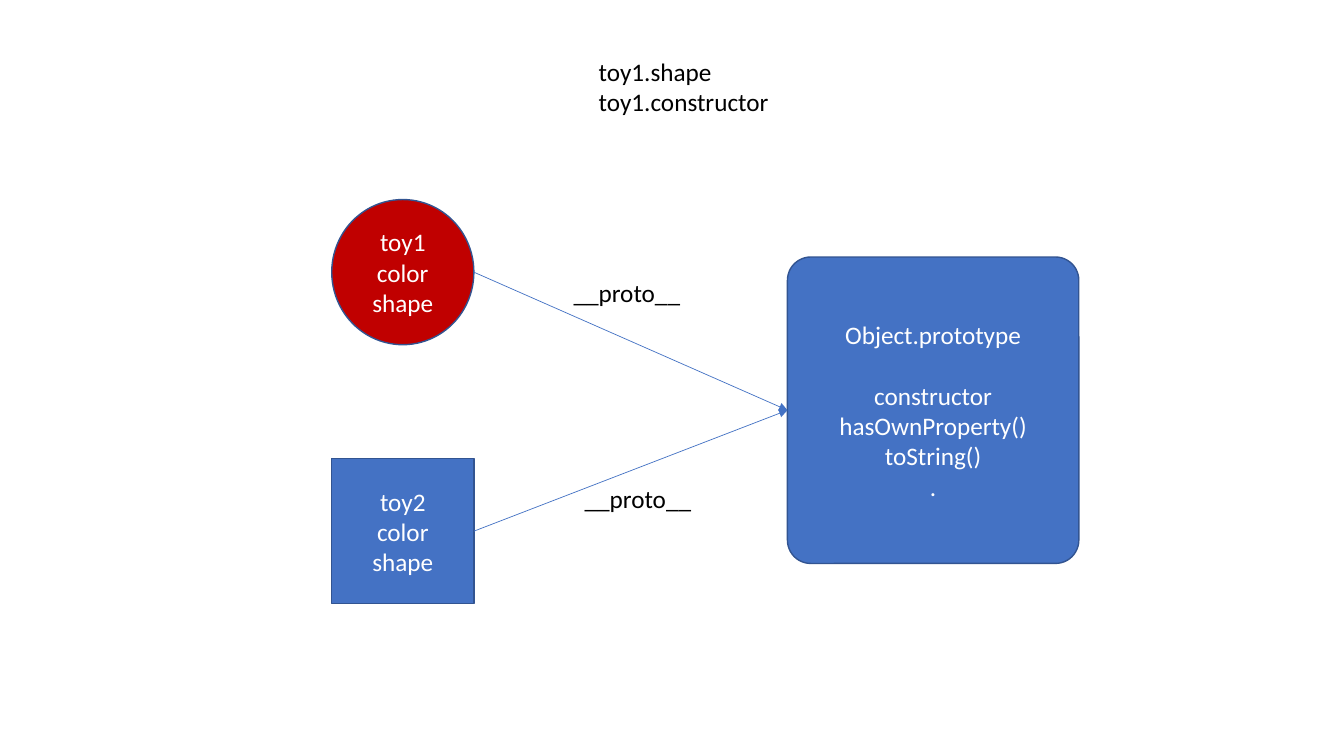
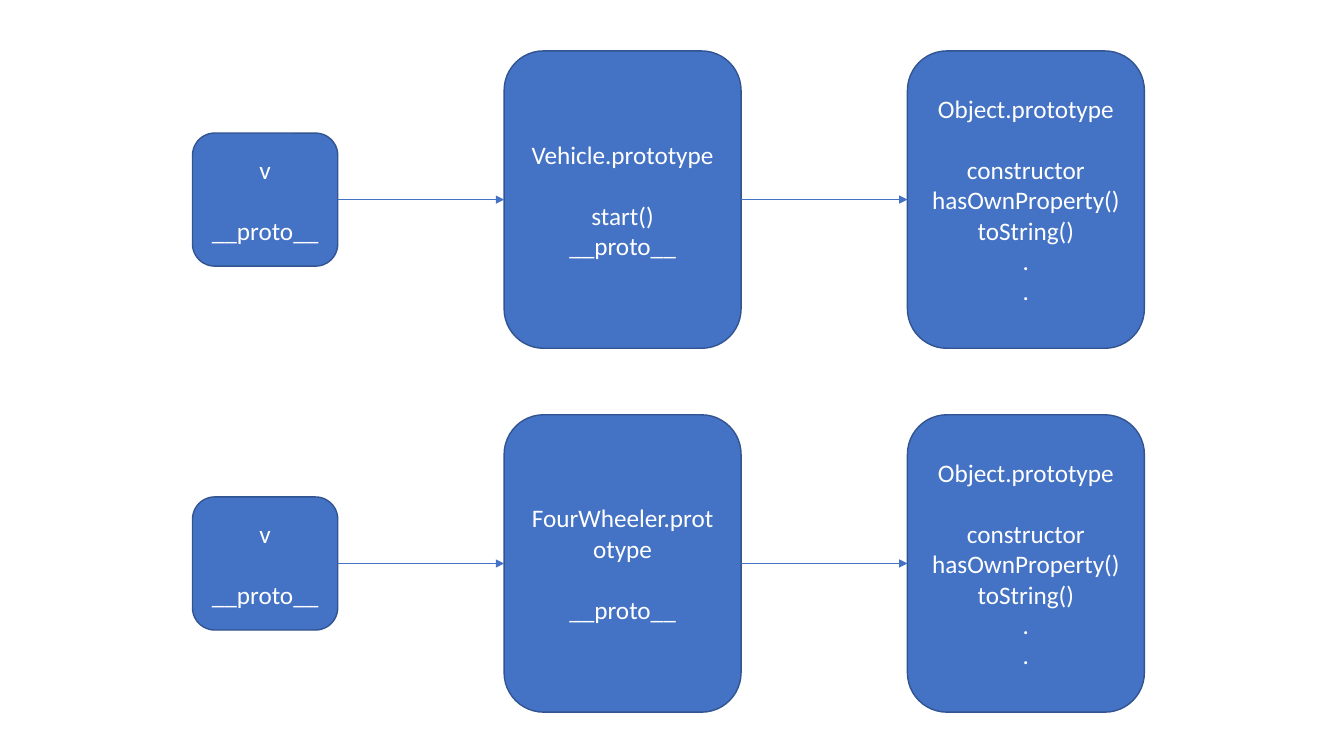
from pptx import Presentation
from pptx.dml.color import RGBColor
from pptx.enum.shapes import MSO_CONNECTOR, MSO_SHAPE
from pptx.enum.text import MSO_ANCHOR, MSO_AUTO_SIZE, PP_ALIGN
from pptx.oxml.ns import qn
from pptx.util import Inches, Pt
from lxml.etree import SubElement

FONT, SIZE, GAP = "Calibri", 18, 22
BLUE, RED, EDGE, WHITE, BLACK = "4472C4", "C00000", "325491", "FFFFFF", "000000"

METHODS = ["constructor", "hasOwnProperty()", "toString()"]
OBJECT = "Object.prototype"
PROTO = "__proto__"

TOYS = [
    ("toy1", MSO_SHAPE.OVAL, RED, 1.98, (5.59, 2.7)),
    ("toy2", MSO_SHAPE.RECTANGLE, BLUE, 4.55, (5.7, 4.75)),
]
LOOKUPS = ["toy1.shape", "toy1.constructor"]

COLUMNS = [(1.91, 1.44, 1.32), (5, 2.35, 2.95), (9, 2.35, 2.95)]
FIRST_MIDDLE, ROW_STEP = 1.98, 3.61
CHAINS = [
    [("v", [PROTO]), ("Vehicle.prototype", ["start()", PROTO]), (OBJECT, METHODS + [".", "."])],
    [("v", [PROTO]), ("FourWheeler.prototype", [PROTO]), (OBJECT, METHODS + [".", "."])],
]


def rgb(color):
    return RGBColor.from_string(color)


def write(tf, lines, color, align):
    tf.text = "\n".join(lines)
    for p in tf.paragraphs:
        p.alignment = align
        for r in p.runs:
            r.font.name, r.font.size = FONT, Pt(SIZE)
            r.font.color.rgb = rgb(color)


def add_box(s, kind, x, y, w, h, lines, fill=BLUE, title_gap=0):
    box = s.shapes.add_shape(kind, Inches(x), Inches(y), Inches(w), Inches(h))
    box.shadow.inherit = False
    box.fill.solid()
    box.fill.fore_color.rgb = rgb(fill)
    box.line.color.rgb = rgb(EDGE)
    box.line.width = Pt(1)
    tf = box.text_frame
    tf.word_wrap = True
    tf.vertical_anchor = MSO_ANCHOR.MIDDLE
    write(tf, lines, WHITE, PP_ALIGN.CENTER)
    tf.paragraphs[0].space_after = Pt(title_gap)
    return box


def add_label(s, x, y, w, h, lines):
    tf = s.shapes.add_textbox(Inches(x), Inches(y), Inches(w), Inches(h)).text_frame
    tf.word_wrap = False
    tf.auto_size = MSO_AUTO_SIZE.SHAPE_TO_FIT_TEXT
    write(tf, lines, BLACK, PP_ALIGN.LEFT)


def add_arrow(s, start, end):
    arrow = s.shapes.add_connector(
        MSO_CONNECTOR.STRAIGHT,
        start.left + start.width, start.top + start.height // 2,
        end.left, end.top + end.height // 2)
    if start.auto_shape_type != MSO_SHAPE.OVAL:
        arrow.begin_connect(start, 3)
    arrow.end_connect(end, 1)
    arrow.line.color.rgb = rgb(BLUE)
    arrow.line.width = Pt(0.5)
    SubElement(arrow.line._get_or_add_ln(), qn("a:tailEnd"), type="triangle")
    SubElement(arrow._element.spPr, qn("a:effectLst"))


def build_toys(s):
    proto = add_box(s, MSO_SHAPE.ROUNDED_RECTANGLE, 7.81, 2.55, 2.89, 3.04,
                    [OBJECT] + METHODS + ["."], title_gap=GAP)
    proto.adjustments[0] = 0.08
    for name, kind, fill, y, (label_x, label_y) in TOYS:
        toy = add_box(s, kind, 3.29, y, 1.41, 1.44, [name, "color", "shape"], fill)
        add_arrow(s, toy, proto)
        add_label(s, label_x, label_y, 1.27, 0.4, [PROTO])
    add_label(s, 5.84, 0.51, 1.9, 0.71, LOOKUPS)


def build_chains(s):
    for row, chain in enumerate(CHAINS):
        middle = FIRST_MIDDLE + row * ROW_STEP
        previous = None
        for (x, w, h), (title, members) in zip(COLUMNS, chain):
            box = add_box(s, MSO_SHAPE.ROUNDED_RECTANGLE, x, middle - h / 2, w, h,
                          [title] + members, title_gap=GAP)
            if previous is not None:
                add_arrow(s, previous, box)
            previous = box


def main():
    prs = Presentation()
    prs.slide_width, prs.slide_height = Inches(13.33), Inches(7.5)
    for build in (build_toys, build_chains):
        build(prs.slides.add_slide(prs.slide_layouts[6]))
    prs.save("out.pptx")


if __name__ == "__main__":
    main()
